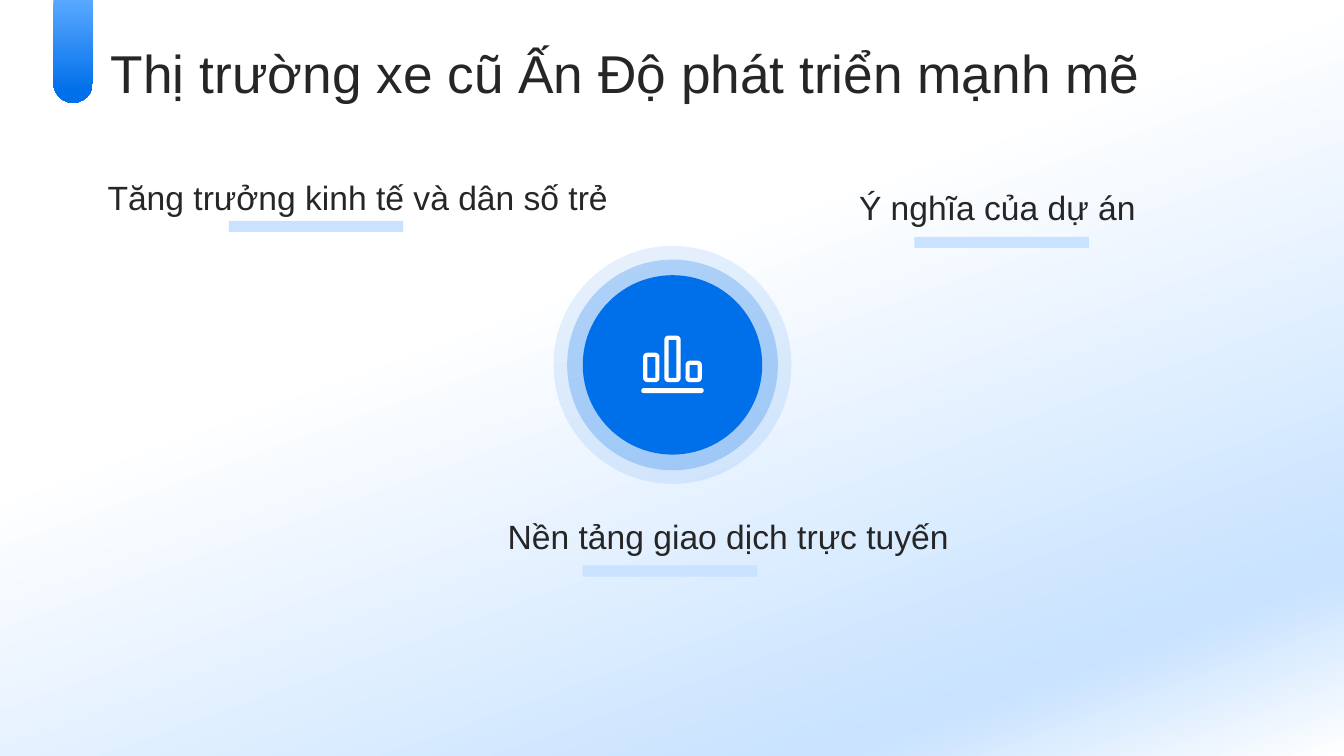
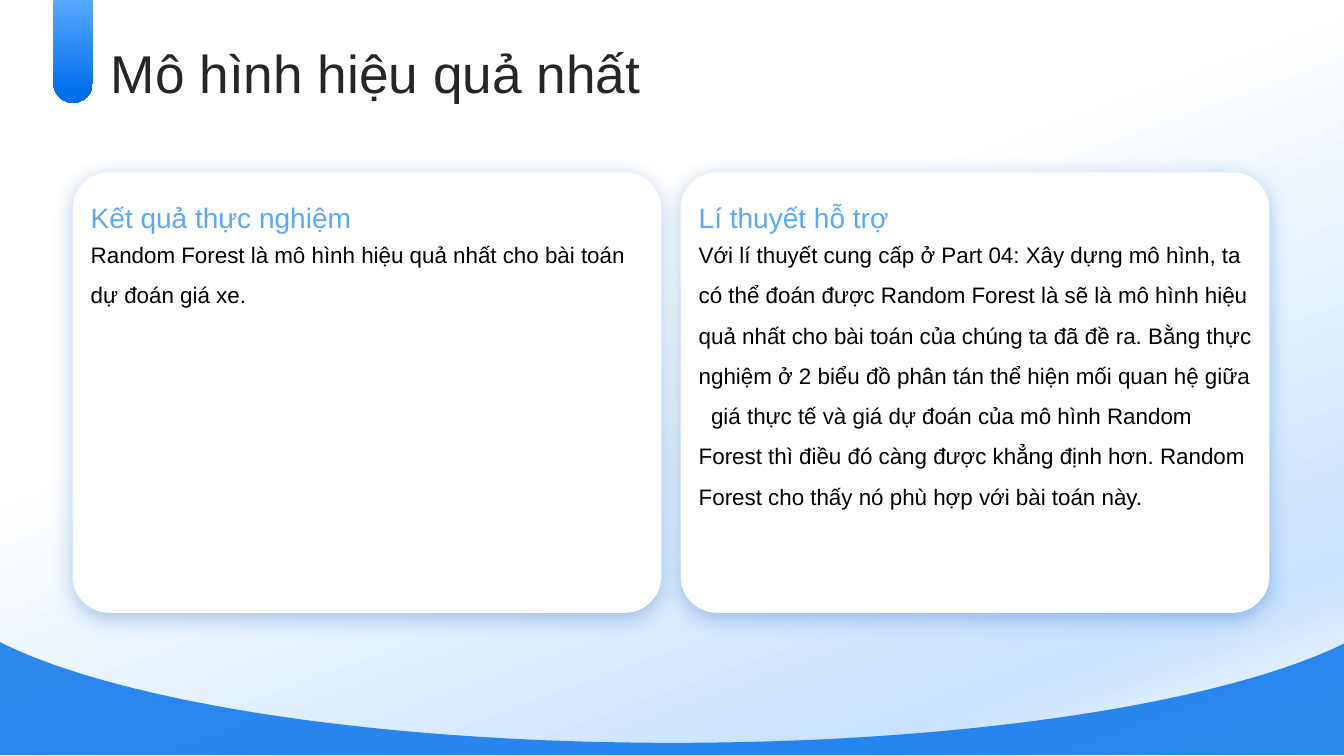
from pptx import Presentation
from pptx.dml.color import RGBColor
from pptx.enum.shapes import MSO_SHAPE as Shape
from pptx.enum.text import MSO_ANCHOR as Anchor, MSO_AUTO_SIZE as AutoSize, PP_ALIGN as Align
from pptx.oxml import parse_xml
from pptx.oxml.ns import nsdecls, qn
from pptx.oxml.xmlchemy import OxmlElement
from pptx.util import Inches, Pt

# Shared look
BLUE = RGBColor(0x00, 0x6F, 0xEA)
SKY = RGBColor(0x59, 0xA8, 0xFF)
PALE = RGBColor(0xC8, 0xE2, 0xFF)
NAVY = RGBColor(0x00, 0x53, 0xB0)
INK = RGBColor(0x26, 0x26, 0x26)
BLACK = RGBColor(0x00, 0x00, 0x00)
WHITE = RGBColor(0xFF, 0xFF, 0xFF)
FONT = "Arial"
SLIDE_W, SLIDE_H = 13.33, 7.5
TITLE_BOX = (1.1, 0.45, 11.5, 0.47)
COMPARISON, TITLE_ONLY = 4, 5

# Labels: text, box, alignment, underline left and top
LABELS = [
    ("Tăng trưởng kinh tế và dân số trẻ", (0.53, 1.56, 5.5, 0.6), Align.RIGHT, (2.27, 2.19)),
    ("Ý nghĩa của dự án", (8.52, 1.75, 3.1, 0.5), Align.LEFT, (9.07, 2.35)),
    ("Nền tảng giao dịch trực tuyến", (4.15, 4.17, 5.26, 1.35), Align.RIGHT, (5.78, 5.61)),
]
# Cards: heading, text
CARDS = [
    ("Kết quả thực nghiệm",
     "Random Forest là mô hình hiệu quả nhất cho bài toán dự đoán giá xe."),
    ("Lí thuyết hỗ trợ",
     "Với lí thuyết cung cấp ở Part 04: Xây dựng mô hình, ta có thể đoán được Random Forest "
     "là sẽ là mô hình hiệu quả nhất cho bài toán của chúng ta đã đề ra. Bằng thực nghiệm ở 2 "
     "biểu đồ phân tán thể hiện mối quan hệ giữa   giá thực tế và giá dự đoán của mô hình "
     "Random Forest thì điều đó càng được khẳng định hơn. Random Forest cho thấy nó phù hợp "
     "với bài toán này."),
]


def inches(values):
    return [Inches(value) for value in values]


# Shapes
def style_shape(shape, color, alpha=100):
    shape.shadow.inherit = False
    shape.line.fill.background()
    shape.fill.solid()
    shape.fill.fore_color.rgb = color
    if alpha < 100:
        opacity = OxmlElement("a:alpha")
        opacity.set("val", str(alpha * 1000))
        shape._element.spPr.find(qn("a:solidFill"))[0].append(opacity)


def add_filled(slide, preset, box, color, alpha=100, adjust=()):
    """Add a plain shape behind the slide's placeholders."""
    shape = slide.shapes.add_shape(preset, *inches(box))
    style_shape(shape, color, alpha)
    for index, value in enumerate(adjust):
        shape.adjustments[index] = value
    slide.shapes.title._element.addprevious(shape._element)
    return shape


def set_gradient(shape, stops, angle):
    stop_xml = "".join(
        f'<a:gs pos="{position * 1000}"><a:srgbClr val="{color}"/></a:gs>'
        for position, color in stops)
    gradient = parse_xml(
        f'<a:gradFill {nsdecls("a")} rotWithShape="1"><a:gsLst>{stop_xml}</a:gsLst>'
        f'<a:lin ang="{angle * 60000}" scaled="0"/></a:gradFill>')
    properties = shape._element.spPr
    properties.replace(properties.find(qn("a:solidFill")), gradient)


def add_soft_shadow(shape):
    shadow = parse_xml(
        f'<a:outerShdw {nsdecls("a")} blurRad="{Pt(15)}" dist="{Pt(4)}" dir="5400000" '
        f'algn="t" rotWithShape="0"><a:srgbClr val="{NAVY}"><a:alpha val="30000"/>'
        '</a:srgbClr></a:outerShdw>')
    shape._element.spPr.find(qn("a:effectLst")).append(shadow)


# Text
def write(holder, box, text, size, color, spacing, anchor=Anchor.TOP, align=Align.LEFT):
    """Place a text box or placeholder and give it one plain paragraph."""
    holder.left, holder.top, holder.width, holder.height = inches(box)
    frame = holder.text_frame
    frame.text = text
    frame.word_wrap = True
    frame.auto_size = AutoSize.NONE
    frame.vertical_anchor = anchor
    frame.margin_left = frame.margin_top = frame.margin_right = frame.margin_bottom = 0
    paragraph = frame.paragraphs[0]
    properties = paragraph._p.get_or_add_pPr()
    properties.set("marL", "0")
    properties.set("indent", "0")
    properties.append(OxmlElement("a:buNone"))
    paragraph.alignment = align
    paragraph.line_spacing = spacing
    paragraph.space_before = Pt(0)
    font = paragraph.font
    font.name, font.size, font.bold = FONT, Pt(size), False
    font.color.rgb = color


def add_slide(prs, layout, title):
    """Start a slide with the shared background, tab and title."""
    slide = prs.slides.add_slide(prs.slide_layouts[layout])
    background = add_filled(slide, Shape.RECTANGLE, (0, 0, SLIDE_W, SLIDE_H), WHITE)
    set_gradient(background, [(1, WHITE), (39, WHITE), (85, PALE), (100, WHITE)], 70)
    tab = add_filled(slide, Shape.ROUND_2_SAME_RECTANGLE, (0.53, 0, 0.39, 1.02), BLUE,
                     adjust=(0, 0.5))
    set_gradient(tab, [(0, SKY), (90, BLUE)], 90)
    write(slide.shapes.title, TITLE_BOX, title, 38, INK, 1.1, Anchor.MIDDLE)
    return slide


# Market slide
def add_label(slide, text, box, align, underline):
    add_filled(slide, Shape.RECTANGLE, (*underline, 1.73, 0.11), PALE)
    label = slide.shapes.add_textbox(*inches(box))
    write(label, box, text, 24, INK, 1.5, Anchor.BOTTOM, align)


def add_chart_badge(slide, center_x, center_y):
    for diameter, alpha in [(2.36, 10), (2.09, 24), (1.78, 100)]:
        radius = diameter / 2
        add_filled(slide, Shape.OVAL,
                   (center_x - radius, center_y - radius, diameter, diameter), BLUE, alpha)
    # Bar icon: three outlined bars over a base line
    bar_width, pitch, bottom = 0.12, 0.21, center_y + 0.15
    for index, height in enumerate([0.25, 0.42, 0.17]):
        left = center_x + (index - 1) * pitch - bar_width / 2
        bar = add_filled(slide, Shape.ROUNDED_RECTANGLE,
                         (left, bottom - height, bar_width, height), WHITE, adjust=(0.17,))
        bar.fill.background()
        bar.line.color.rgb = WHITE
        bar.line.width = Pt(3)
    add_filled(slide, Shape.ROUNDED_RECTANGLE,
               (center_x - 0.31, center_y + 0.23, 0.62, 0.05), WHITE, adjust=(0.5,))


def build_market_slide(prs):
    slide = add_slide(prs, TITLE_ONLY, "Thị trường xe cũ Ấn Độ phát triển mạnh mẽ")
    add_chart_badge(slide, 6.67, 3.62)
    for label in LABELS:
        add_label(slide, *label)


# Model slide
def bezier(start, control_1, control_2, end, steps=40):
    for step in range(steps + 1):
        t = step / steps
        weights = ((1 - t) ** 3, 3 * t * (1 - t) ** 2, 3 * t ** 2 * (1 - t), t ** 3)
        points = (start, control_1, control_2, end)
        yield tuple(sum(w * p[axis] for w, p in zip(weights, points)) for axis in (0, 1))


def add_wave(slide):
    left_half = [(-0.02, 6.36), *bezier((0.08, 6.41), (1.29, 6.98), (3.79, 7.37), (6.68, 7.37))]
    right_half = [(13.36 - x, y) for x, y in reversed(left_half[:-1])]
    outline = [*left_half, *right_half, (13.37, 7.49), (-0.02, 7.49)]
    start, *rest = [inches(point) for point in outline]
    builder = slide.shapes.build_freeform(*start)
    builder.add_line_segments(rest, close=True)
    wave = builder.convert_to_shape()
    style_shape(wave, BLUE, 81)
    slide.shapes.title._element.addprevious(wave._element)


def add_card(slide, index, heading, text):
    left = 0.72 + index * 6.03
    card = add_filled(slide, Shape.ROUNDED_RECTANGLE, (left, 1.71, 5.84, 4.37), WHITE,
                      adjust=(0.083,))
    add_soft_shadow(card)
    text_left = left + 0.18
    heading_holder = slide.placeholders[1 + 2 * index]
    text_holder = slide.placeholders[2 + 2 * index]
    write(heading_holder, (text_left, 1.89, 5.49, 0.36), heading, 20, SKY, 1.3)
    write(text_holder, (text_left, 2.26, 5.49, 3.65), text, 16, BLACK, 1.5)


def build_model_slide(prs):
    slide = add_slide(prs, COMPARISON, "Mô hình hiệu quả nhất")
    add_wave(slide)
    for index, (heading, text) in enumerate(CARDS):
        add_card(slide, index, heading, text)


def main():
    prs = Presentation()
    prs.slide_width, prs.slide_height = Inches(SLIDE_W), Inches(SLIDE_H)
    build_market_slide(prs)
    build_model_slide(prs)
    prs.save("out.pptx")


if __name__ == "__main__":
    main()
